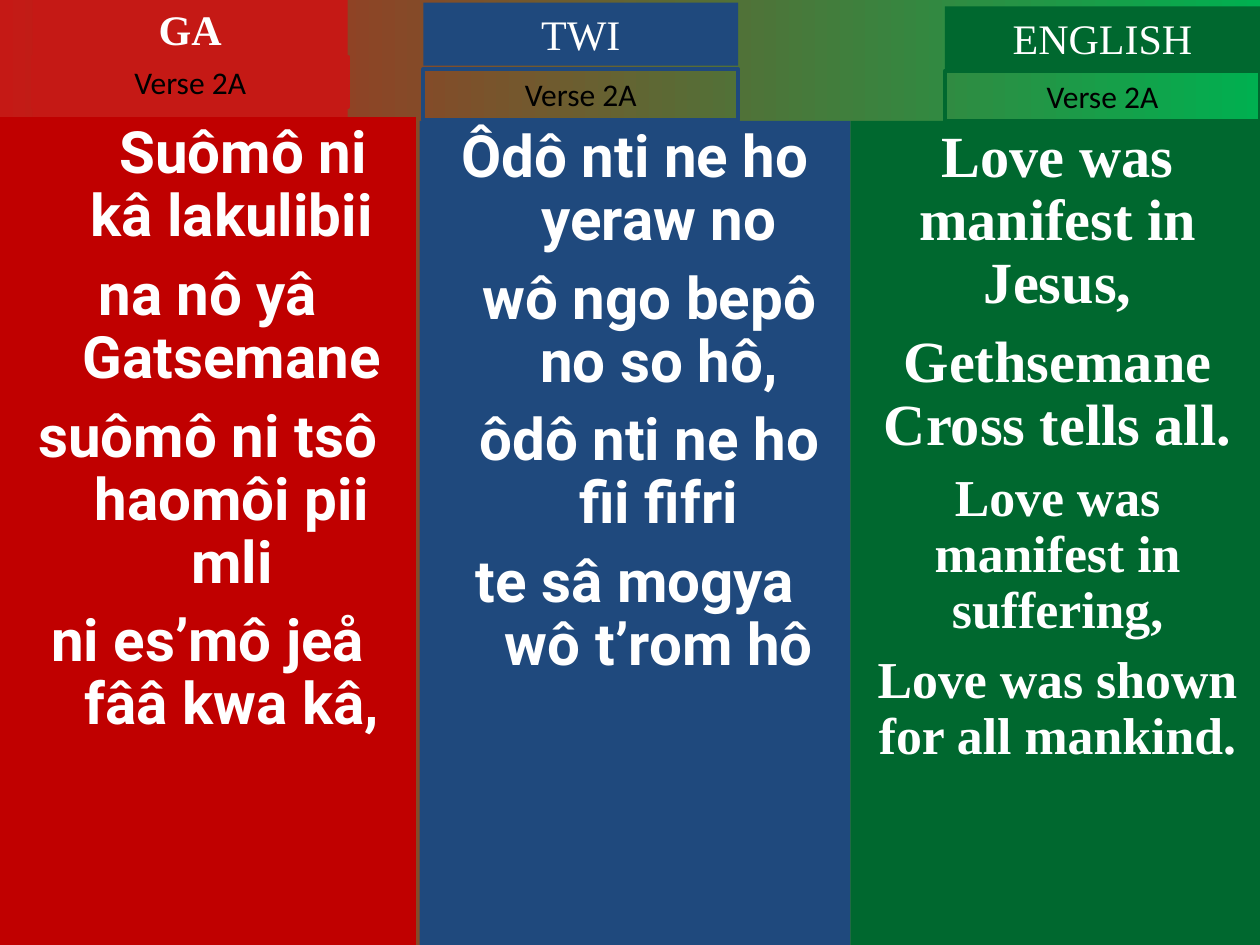
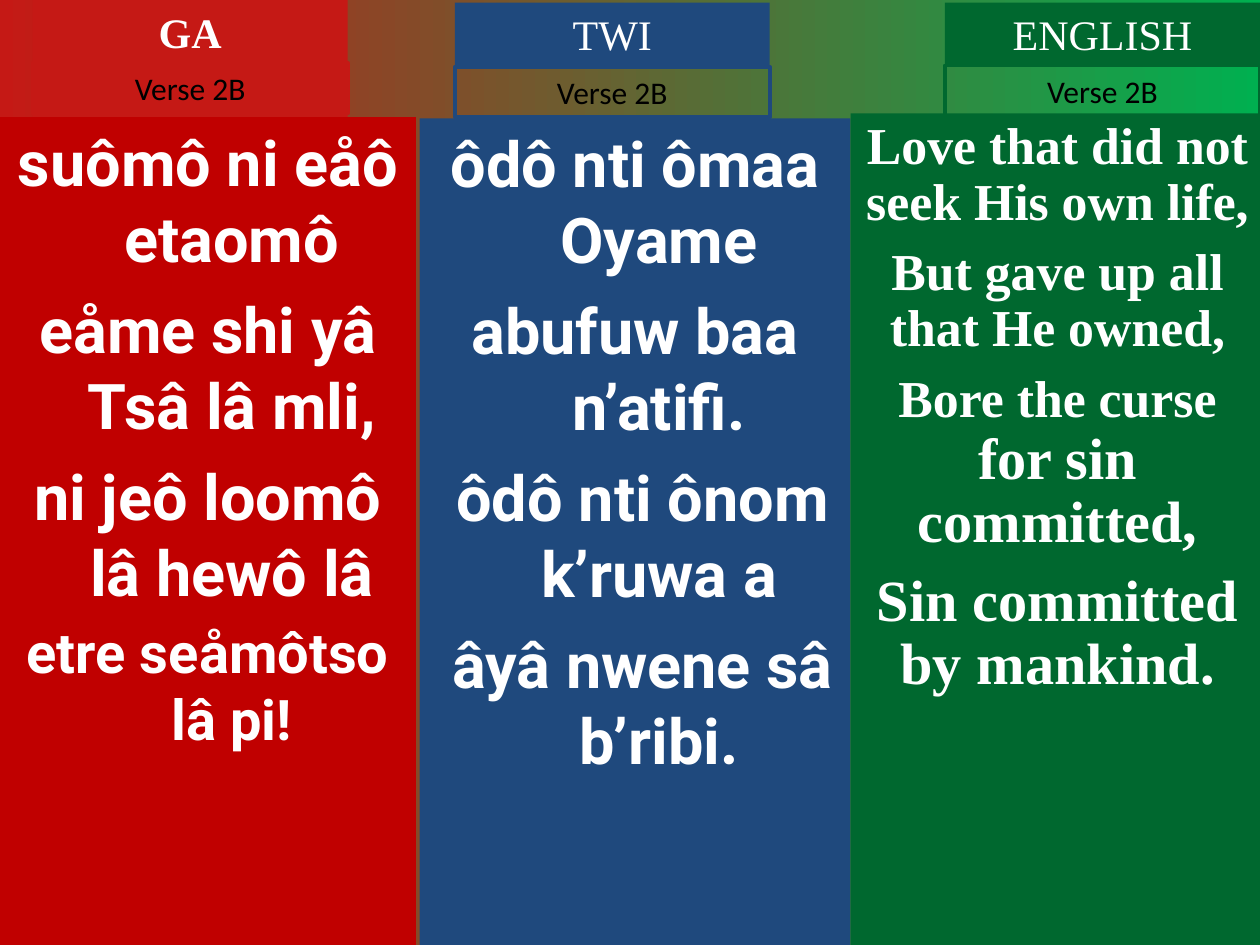
"""Build two trilingual hymn slides with Ga, Twi and English verses side by side."""
import pptx
import pptx.dml.color
import pptx.enum.shapes
import pptx.enum.text
import pptx.oxml.ns
import pptx.util
from lxml import etree

WHITE, BLACK = "FFFFFF", "000000"
RED, DEEP_RED, BLUE, GREEN, BRIGHT_GREEN = "C51915", "C00000", "1F497D", "00682F", "00B050"
LATIN, SERIF, SANS = "Roboto", "Times New Roman", "Calibri"
SPACE_BEFORE = {29.6: 8, 32: 5, 33.3: 9, 36: 9}
HANGING = 0.38
HEADING_SIZE = (25, 6.67)
LABEL_SIZE = (25, 5.33)

LANGUAGES = {
    "GA": {"accent": RED, "fill": DEEP_RED, "left": 0, "width": 33, "font": LATIN, "bold": True},
    "TWI": {"accent": BLUE, "fill": BLUE, "left": 33.3, "width": 34.2, "font": LATIN, "bold": False},
    "ENGLISH": {"accent": GREEN, "fill": GREEN, "left": 67.5, "width": 32.9, "font": SERIF, "bold": False},
}

VERSES = {
    "Verse 2A": {
        "GA": {
            "head": (2.6, -0.27), "label_top": 6, "top": 12.4, "spacing": 0.9,
            "lines": [
                [("Suômô ni kâ lakulibii", 33.3)],
                [("na nô yâ Gatsemane", 33.3)],
                [("suômô ni tsô haomôi pii mli", 33.3)],
                [("ni es’mô jeå fââ kwa kâ,", 33.3)],
            ],
            "leads": {0: 0.56},
        },
        "TWI": {
            "head": (33.6, 0.27), "label_top": 7.33, "top": 12.8, "spacing": 0.9,
            "lines": [
                [("Ôdô nti ne ho yeraw no", 33.3)],
                [("wô ngo bepô no so hô,", 33.3)],
                [("ôdô nti ne ho fii fifri", 33.3)],
                [("te sâ mogya wô t’rom hô", 33.3)],
            ],
            "leads": {1: 0.23, 2: 0.23},
        },
        "ENGLISH": {
            "head": (75, 0.67), "label_top": 7.47, "top": 12.8, "spacing": 0.9,
            "lines": [
                [("Love was manifest in Jesus,", 33.3)],
                [("Gethsemane Cross tells all.", 33.3)],
                [("Love was manifest in suffering,", 29.6)],
                [("Love was shown for all mankind.", 29.6)],
            ],
        },
    },
    "Verse 2B": {
        "GA": {
            "head": (2.6, 0), "label_top": 6.67, "top": 12.4, "spacing": 1,
            "lines": [
                [("suômô ni eåô etaomô", 36)],
                [("eåme shi yâ Tsâ lâ mli,", 36)],
                [("ni jeô loomô lâ hewô lâ", 36)],
                [("etre seåmôtso lâ pi!", 32)],
            ],
        },
        "TWI": {
            "head": (36.1, 0.27), "label_top": 7.07, "top": 12.53, "spacing": 1,
            "lines": [
                [("ôdô nti ômaa Oyame", 36)],
                [("abufuw baa n’atifi.", 36)],
                [("ôdô nti ônom k’ruwa a", 36)],
                [("âyâ nwene sâ b’ribi.", 36)],
            ],
            "leads": {2: 0.12, 3: 0.12},
        },
        "ENGLISH": {
            "head": (75, 0.27), "label_top": 6.93, "top": 12, "spacing": 0.9,
            "lines": [
                [("Love that did not seek His own life,", 29.6)],
                [("But gave up all that He owned,", 29.6)],
                [("Bore the curse ", 29.6), ("for sin committed,", 33.3)],
                [("Sin committed by mankind.", 33.3)],
            ],
        },
    },
}


def rgb(code):
    """Turn a hex string into a colour."""
    return pptx.dml.color.RGBColor.from_string(code)


def apply(target, values):
    """Set each named attribute of the target."""
    for name, value in values.items():
        setattr(target, name, value)


class HymnDeck:
    """Hold the shared style and the current slide."""

    def __init__(self):
        """Set the slide size and the gradient behind every slide."""
        self.deck = pptx.Presentation()
        apply(self.deck, {"slide_width": pptx.util.Inches(10), "slide_height": pptx.util.Inches(7.5)})
        backdrop = self.deck.slide_master.background.fill
        backdrop.gradient()
        backdrop.gradient_angle = 0
        for stop, code in zip(backdrop.gradient_stops, (RED, BRIGHT_GREEN)):
            stop.color.rgb = rgb(code)

    def new_slide(self):
        """Start a slide with a title and two bodies."""
        self.slide = self.deck.slides.add_slide(self.deck.slide_layouts[3])
        title, ga_body, twi_body = self.slide.placeholders
        self.headings = {"GA": title}
        self.bodies = {"GA": ga_body, "TWI": twi_body}

    def panel(self, left, top, width, height, fill=None, line=None, holder=None, grow=False):
        """Place a rectangle or placeholder by percentages of the slide."""
        across, down = self.deck.slide_width / 100, self.deck.slide_height / 100
        place = {
            "left": round(left * across), "top": round(top * down),
            "width": round(width * across), "height": round(height * down),
        }
        panel = holder
        if panel is None:
            panel = self.slide.shapes.add_shape(pptx.enum.shapes.MSO_SHAPE.RECTANGLE, *place.values())
        apply(panel, place)
        panel.shadow.inherit = False
        if fill:
            panel.fill.solid()
            panel.fill.fore_color.rgb = rgb(fill)
        else:
            panel.fill.background()
        if line:
            panel.line.color.rgb = rgb(line)
            panel.line.width = pptx.util.Pt(2.25)
        else:
            panel.line.fill.background()
        sizing = pptx.enum.text.MSO_AUTO_SIZE
        apply(panel.text_frame, {
            "word_wrap": True,
            "vertical_anchor": pptx.enum.text.MSO_ANCHOR.TOP,
            "auto_size": sizing.SHAPE_TO_FIT_TEXT if grow else sizing.NONE,
        })
        return panel

    def centre(self, paragraph, pieces, font, color, bold):
        """Add centred runs of text and size pairs."""
        paragraph.alignment = pptx.enum.text.PP_ALIGN.CENTER
        for text, size in pieces:
            run = paragraph.add_run()
            run.text = text
            apply(run.font, {"name": font, "size": pptx.util.Pt(size), "bold": bold})
            run.font.color.rgb = rgb(color)

    def heading(self, name, left, top):
        """Draw the language name on its colour."""
        style = LANGUAGES[name]
        plate = self.panel(left, top, *HEADING_SIZE, fill=style["accent"],
                           holder=self.headings.get(name), grow=True)
        self.centre(plate.text_frame.paragraphs[0], [(name, 24)], SERIF, WHITE, style["bold"])

    def label(self, name, verse, left, top):
        """Draw the outlined verse number."""
        frame = self.panel(left, top, *LABEL_SIZE, line=LANGUAGES[name]["accent"], grow=True)
        self.centre(frame.text_frame.paragraphs[0], [(verse, 18)], SANS, BLACK, False)

    def indent(self, paragraph, lead):
        """Give a paragraph a hanging indent without a bullet."""
        properties = paragraph._p.get_or_add_pPr()
        properties.set("marL", str(pptx.util.Inches(HANGING)))
        properties.set("indent", str(pptx.util.Inches(lead - HANGING)))
        etree.SubElement(properties, pptx.oxml.ns.qn("a:buNone"))

    def column(self, name, top, spacing, lines, leads):
        """Fill a language column with the lines of its verse."""
        style = LANGUAGES[name]
        body = self.bodies.get(name)
        text = self.panel(style["left"], top, style["width"], 100 - top, fill=style["fill"],
                          holder=body).text_frame
        for number, pieces in enumerate(lines):
            paragraph = text.add_paragraph() if number else text.paragraphs[0]
            if body is not None:
                self.indent(paragraph, leads.get(number, 0))
            before = SPACE_BEFORE[pieces[-1][1]] if number else 0
            apply(paragraph, {"line_spacing": float(spacing), "space_before": pptx.util.Pt(before)})
            self.centre(paragraph, pieces, style["font"], WHITE, True)

    def verse(self, verse, parts):
        """Build one slide from its three language parts."""
        self.new_slide()
        for name, part in parts.items():
            left, top = part["head"]
            self.column(name, part["top"], part["spacing"], part["lines"], part.get("leads", {}))
            self.heading(name, left, top)
            self.label(name, verse, left, part["label_top"])


def main():
    """Build and save the deck."""
    hymn = HymnDeck()
    for verse, parts in VERSES.items():
        hymn.verse(verse, parts)
    hymn.deck.save("out.pptx")


if __name__ == "__main__":
    main()
